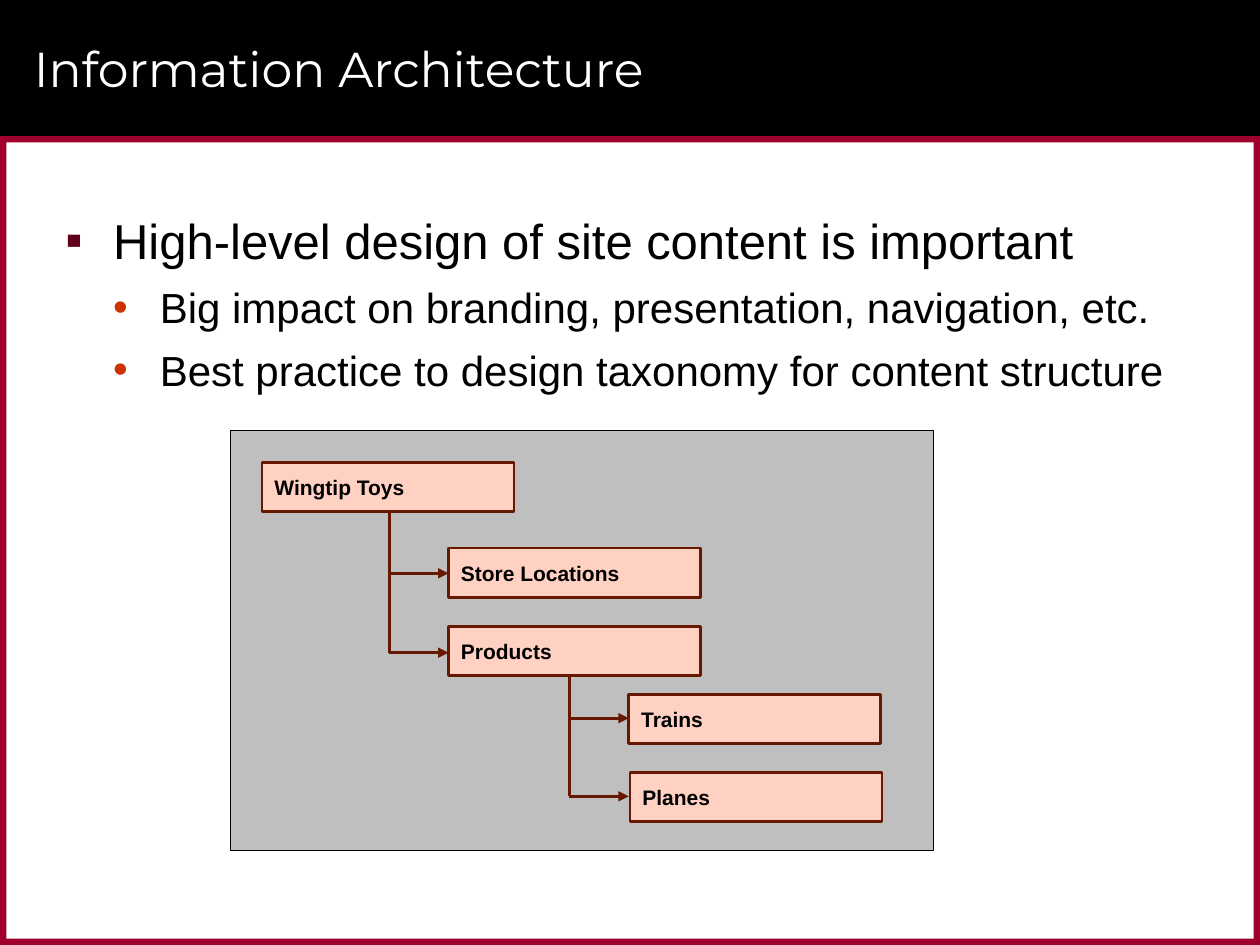
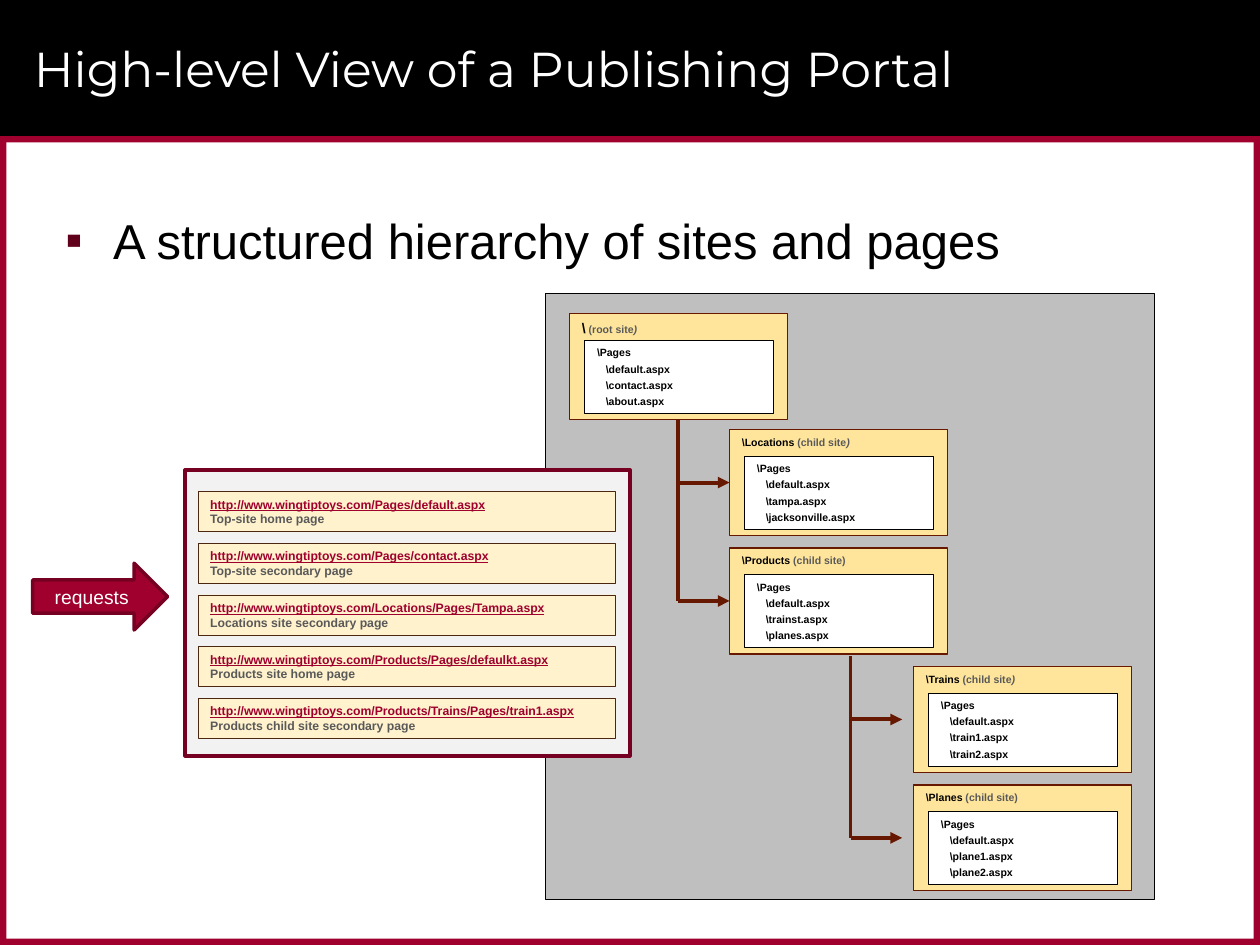
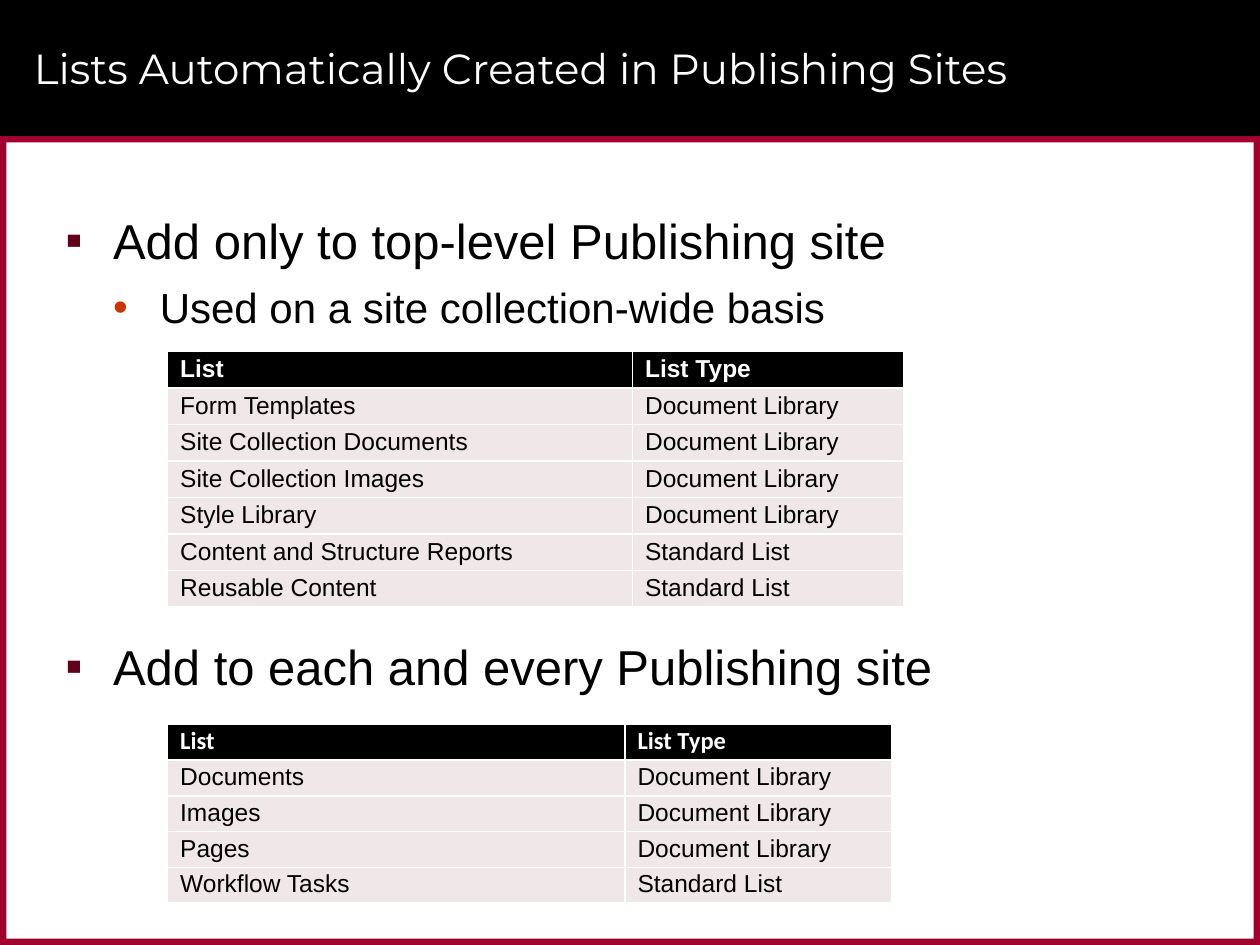
from dataclasses import dataclass

from pptx import Presentation
from pptx.dml.color import RGBColor
from pptx.enum.shapes import MSO_CONNECTOR, MSO_SHAPE
from pptx.enum.text import MSO_ANCHOR, PP_ALIGN
from pptx.oxml.ns import qn
from pptx.util import Inches, Pt
from lxml import etree

RECT, ARROW = MSO_SHAPE.RECTANGLE, MSO_SHAPE.RIGHT_ARROW
STRAIGHT = MSO_CONNECTOR.STRAIGHT
TOP, MIDDLE, BOTTOM = MSO_ANCHOR.TOP, MSO_ANCHOR.MIDDLE, MSO_ANCHOR.BOTTOM
LEFT, CENTER = PP_ALIGN.LEFT, PP_ALIGN.CENTER

COLORS = {
    "black": "000000", "white": "FFFFFF", "red": "9F002D", "wine": "760021",
    "square": "60001B", "dot": "CC3300", "panel": "BFBFBF", "brown": "661900",
    "peach": "FFD1C2", "gold": "FFE59B", "cream": "FFF2CD", "edge": "4C2710",
    "pale": "F2F2F2", "gray": "595959", "row": "F0E7E8",
}
INSETS = (0.1, 0.05, 0.1, 0.05)


@dataclass
class Run:
    text: str
    size: float
    color: str = "black"
    bold: bool = False
    italic: bool = False
    under: bool = False
    font: str = "Arial"


@dataclass
class Para:
    runs: list[Run]
    before: float = 0
    after: float = 0
    margin: float = 0
    hang: float = 0
    bullet: str = ""
    tint: str = "black"
    align: int = LEFT


@dataclass
class Box:
    x: float
    y: float
    w: float
    h: float
    fill: str
    line: str = ""
    weight: float = 0
    kind: int = RECT


@dataclass
class Tree:
    """A trunk with one arrow to each child."""
    x: float
    top: float
    rows: list[float]
    tip: float
    weight: float


@dataclass
class Site:
    x: float
    y: float
    name: str
    note: str
    pages: list[str]
    slant: bool = False
    size: float = 6


@dataclass
class Grid:
    x: float
    y: float
    cols: list[float]
    height: float
    font: str
    rows: list[tuple[str, str]]


def rgb(name: str) -> RGBColor:
    return RGBColor.from_string(COLORS[name])


# Text
def write(frame, paras: list[Para], anchor=TOP, insets=INSETS) -> None:
    frame.word_wrap = True
    frame.vertical_anchor = anchor
    (frame.margin_left, frame.margin_top,
     frame.margin_right, frame.margin_bottom) = map(Inches, insets)
    for i, para in enumerate(paras):
        p = frame.add_paragraph() if i else frame.paragraphs[0]
        props = p._p.get_or_add_pPr()
        props.set("marL", str(Inches(para.margin)))
        props.set("indent", str(Inches(para.hang)))
        if para.bullet:
            tint = etree.SubElement(props, qn("a:buClr"))
            etree.SubElement(tint, qn("a:srgbClr"), val=COLORS[para.tint])
            etree.SubElement(props, qn("a:buFont"), typeface="Arial")
            etree.SubElement(props, qn("a:buChar"), char=para.bullet)
        p.alignment = para.align
        p.space_before = Pt(para.before if i else 0)
        p.space_after = Pt(para.after)
        for run in para.runs:
            r = p.add_run()
            r.text = run.text
            font = r.font
            font.name, font.size = run.font, Pt(run.size)
            font.bold, font.italic = run.bold, run.italic
            font.underline = run.under
            font.color.rgb = rgb(run.color)


def add_text(slide, x: float, y: float, w: float, h: float,
             paras: list[Para], anchor=TOP, insets=INSETS) -> None:
    box = slide.shapes.add_textbox(Inches(x), Inches(y), Inches(w), Inches(h))
    write(box.text_frame, paras, anchor, insets)


def major(text: str) -> Para:
    return Para([Run(text, 28)], 6, 4, 0.38, -0.38, "▪", "square")


def minor(text: str) -> Para:
    return Para([Run(text, 24)], 3, 4, 0.75, -0.37, "•", "dot")


def add_points(slide, paras: list[Para], y: float = 1.58,
               h: float = 5.67) -> None:
    add_text(slide, 0.42, y, 9.17, h, paras, insets=(0.1, 0.09, 0.1, 0.05))


# Shapes
def add_box(slide, box: Box, paras: list[Para] | None = None,
            anchor=MIDDLE, insets=INSETS) -> None:
    shape = slide.shapes.add_shape(box.kind, Inches(box.x), Inches(box.y),
                                   Inches(box.w), Inches(box.h))
    shape.shadow.inherit = False
    shape.fill.solid()
    shape.fill.fore_color.rgb = rgb(box.fill)
    if box.line:
        shape.line.color.rgb = rgb(box.line)
        shape.line.width = Pt(box.weight)
    else:
        shape.line.fill.background()
    if paras:
        write(shape.text_frame, paras, anchor, insets)


def add_line(slide, start: tuple[float, float], end: tuple[float, float],
             weight: float, head: bool = False) -> None:
    line = slide.shapes.add_connector(STRAIGHT, *map(Inches, start + end))
    line.line.color.rgb = rgb("brown")
    line.line.width = Pt(weight)
    if head:
        etree.SubElement(line.line._get_or_add_ln(), qn("a:tailEnd"),
                         type="triangle")
    etree.SubElement(line._element.spPr, qn("a:effectLst"))


def add_tree(slide, tree: Tree) -> None:
    add_line(slide, (tree.x, tree.top), (tree.x, tree.rows[-1]), tree.weight)
    for y in tree.rows:
        add_line(slide, (tree.x, y), (tree.tip, y), tree.weight, True)


def add_site(slide, site: Site) -> None:
    head = [Run(site.name, site.size, bold=True),
            Run(f" ({site.note}", 6, "gray", True),
            Run(")", 6, "gray", True, site.slant)]
    add_box(slide, Box(site.x, site.y, 1.73, 0.84, "gold", "brown", 0.75),
            [Para(head)], TOP)
    pages = [Para([Run("\\Pages", 6, bold=True)], after=2)]
    pages += [Para([Run(f"\\{page}.aspx", 6, bold=True)], after=2, margin=0.07)
              for page in site.pages]
    add_box(slide, Box(site.x + 0.12, site.y + 0.21, 1.5, 0.58,
                       "white", "black", 0.5),
            pages, TOP, (0.1, 0.05, 0.1, 0.04))


# Tables
def add_grid(slide, grid: Grid) -> None:
    count = len(grid.rows)
    table = slide.shapes.add_table(
        count, len(grid.cols), Inches(grid.x), Inches(grid.y),
        Inches(sum(grid.cols)), Inches(grid.height * count)).table
    for col, width in zip(table.columns, grid.cols):
        col.width = Inches(width)
    for i, row in enumerate(grid.rows):
        table.rows[i].height = Inches(grid.height)
        for j, text in enumerate(row):
            cell = table.cell(i, j)
            props = cell._tc.get_or_add_tcPr()
            for side in ("lnL", "lnR", "lnT", "lnB"):
                edge = etree.SubElement(props, qn(f"a:{side}"), w=str(Pt(1)))
                fill = etree.SubElement(edge, qn("a:solidFill"))
                etree.SubElement(fill, qn("a:srgbClr"), val=COLORS["white"])
            cell.fill.solid()
            cell.fill.fore_color.rgb = rgb("row" if i else "black")
            run = (Run(text, 14) if i else
                   Run(text, 14, "white", True, font=grid.font))
            write(cell.text_frame, [Para([run])])
            cell.vertical_anchor = BOTTOM
            cell.margin_left, cell.margin_top = Inches(0.1), Inches(0.01)
            cell.margin_right, cell.margin_bottom = Inches(0.01), Inches(0.04)


# Shared band, border and title
FRAME = [
    Box(0, 0, 10, 1.08, "black"),
    Box(0, 1.08, 10, 0.05, "red"),
    Box(0, 7.45, 10, 0.05, "red"),
    Box(9.95, 1.08, 0.05, 6.42, "red"),
    Box(0, 1.08, 0.05, 6.42, "red"),
]


def new_slide(deck, title: str, size: float = 28):
    slide = deck.slides.add_slide(deck.slide_layouts[6])
    for part in FRAME:
        add_box(slide, part)
    run = Run(title, size, "white", font="Montserrat")
    add_text(slide, 0.17, 0.08, 9.42, 0.92, [Para([run])], MIDDLE)
    return slide


# Slide 1: site taxonomy
NODES = [
    (2.08, 3.67, "Wingtip Toys"),
    (3.56, 4.35, "Store Locations"),
    (3.56, 4.97, "Products"),
    (4.99, 5.51, "Trains"),
    (5, 6.13, "Planes"),
]


def design_slide(deck) -> None:
    slide = new_slide(deck, "Information Architecture")
    add_box(slide, Box(1.83, 3.42, 5.58, 3.33, "panel", "black", 0.5))
    add_points(slide, [
        major("High-level design of site content is important"),
        minor("Big impact on branding, presentation, navigation, etc."),
        minor("Best practice to design taxonomy for content structure"),
    ])
    for x, y, name in NODES:
        add_box(slide, Box(x, y, 2, 0.39, "peach", "brown", 1.5),
                [Para([Run(name, 12, bold=True)])])
    add_tree(slide, Tree(3.09, 4.05, [4.55, 5.18], 3.56, 1.5))
    add_tree(slide, Tree(4.52, 5.37, [5.7, 6.32], 4.99, 1.5))


# Slide 2: portal sites and page requests
STEP = 0.94
CHILD_Y = [3.41 + STEP * i for i in range(4)]
SITES = [
    Site(4.52, 2.49, "\\", "root site", ["default", "contact", "about"],
         True, 8),
    Site(5.79, CHILD_Y[0], "\\Locations", "child site",
         ["default", "tampa", "jacksonville"], True),
    Site(5.79, CHILD_Y[1], "\\Products", "child site",
         ["default", "trainst", "planes"]),
    Site(7.25, CHILD_Y[2], "\\Trains", "child site",
         ["default", "train1", "train2"], True),
    Site(7.25, CHILD_Y[3], "\\Planes", "child site",
         ["default", "plane1", "plane2"]),
]
LINKS = [
    ("Pages/default.aspx", "Top-site home page"),
    ("Pages/contact.aspx", "Top-site secondary page"),
    ("Locations/Pages/Tampa.aspx", "Locations site secondary page"),
    ("Products/Pages/defaulkt.aspx", "Products site home page"),
    ("Products/Trains/Pages/train1.aspx",
     "Products child site secondary page"),
]


def portal_slide(deck) -> None:
    slide = new_slide(deck, "High-level View of a Publishing Portal")
    add_box(slide, Box(4.33, 2.33, 4.83, 4.81, "panel", "black", 0.5))
    for site in SITES:
        add_site(slide, site)
    mids = [y + 0.42 for y in CHILD_Y]
    add_tree(slide, Tree(5.38, 3.33, mids[:2], 5.79, 2.25))
    add_tree(slide, Tree(6.75, 5.21, mids[2:], 7.16, 2.25))
    add_points(slide, [major("A structured hierarchy of sites and pages")])
    add_box(slide, Box(1.47, 3.73, 3.53, 2.27, "pale", "wine", 2))
    for i, (page, note) in enumerate(LINKS):
        url = Run(f"http://www.wingtiptoys.com/{page}", 7, "red", True,
                  under=True)
        add_box(slide, Box(1.57, 3.9 + 0.41 * i, 3.31, 0.32,
                           "cream", "edge", 0.25),
                [Para([url]), Para([Run(note, 7, "gray", True)])])
    add_box(slide, Box(0.26, 4.47, 1.07, 0.53, "red", "wine", 2, ARROW),
            [Para([Run("requests", 11, "white")], align=CENTER)])


# Slide 3: lists by scope
LIBRARY, BASIC = "Document Library", "Standard List"
HEAD = ("List", "List Type")
GRIDS = [
    Grid(1.33, 2.79, [3.69, 2.15], 0.29, "Arial", [
        HEAD,
        ("Form Templates", LIBRARY),
        ("Site Collection Documents", LIBRARY),
        ("Site Collection Images", LIBRARY),
        ("Style Library", LIBRARY),
        ("Content and Structure Reports", BASIC),
        ("Reusable Content", BASIC),
    ]),
    Grid(1.33, 5.75, [3.63, 2.12], 0.27, "Calibri", [
        HEAD,
        ("Documents", LIBRARY),
        ("Images", LIBRARY),
        ("Pages", LIBRARY),
        ("Workflow Tasks", BASIC),
    ]),
]


def lists_slide(deck) -> None:
    slide = new_slide(deck, "Lists Automatically Created in Publishing Sites",
                      24)
    add_points(slide, [major("Add only to top-level Publishing site"),
                       minor("Used on a site collection-wide basis")], h=1.2)
    add_points(slide, [major("Add to each and every Publishing site")],
               4.96, 0.7)
    for grid in GRIDS:
        add_grid(slide, grid)


def main() -> None:
    deck = Presentation()
    deck.slide_width, deck.slide_height = Inches(10), Inches(7.5)
    design_slide(deck)
    portal_slide(deck)
    lists_slide(deck)
    deck.save("out.pptx")


if __name__ == "__main__":
    main()
